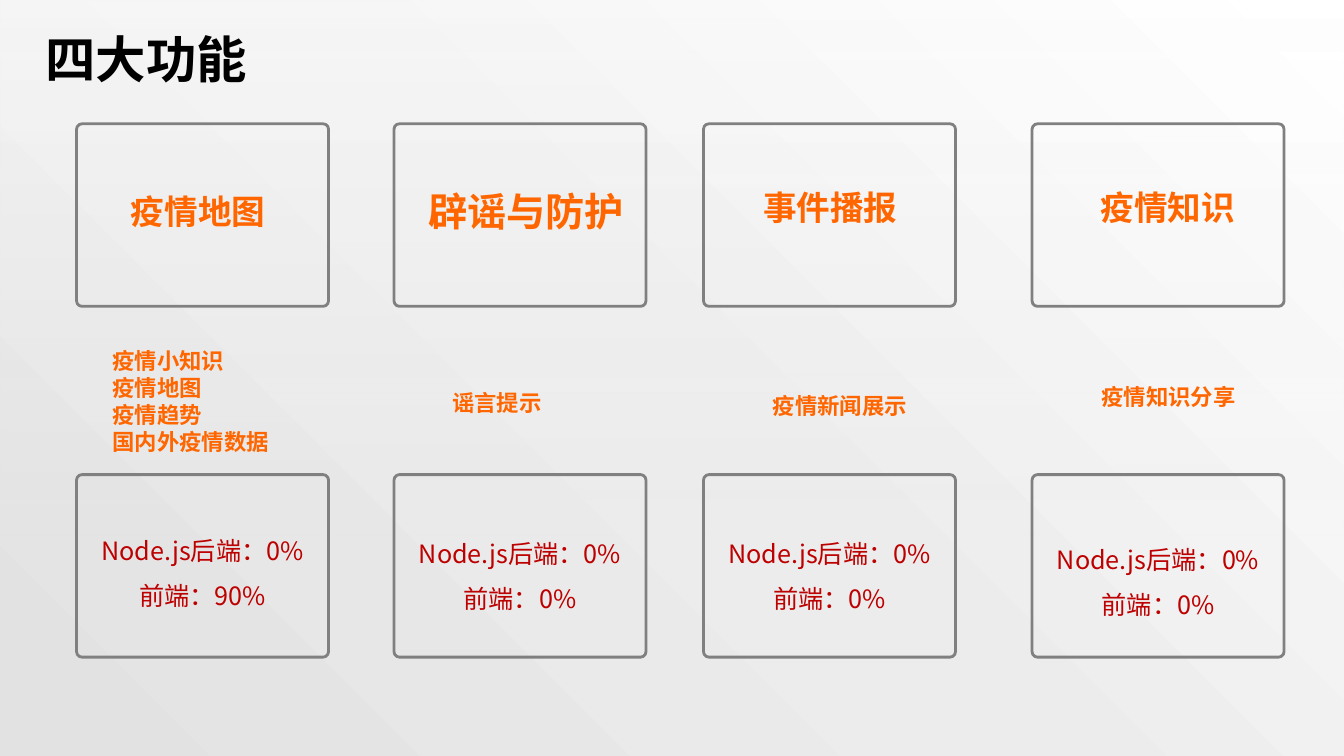
from copy import deepcopy

from pptx import Presentation
from pptx import util as u
from pptx.dml.color import RGBColor
from pptx.enum import shapes, text
from pptx.oxml import ns, xmlchemy

COLORS = {
    "black": "000000", "orange": "FF6600", "red": "BD0000", "outline": "808080",
    "white": "FFFFFF", "mist": "F2F2F2", "silver": "ECECEC", "smoke": "E2E2E2",
}
CJK = "Noto Sans CJK SC"
CARD_WIDTH, CARD_HEIGHT = 6.35, 4.6
FEATURE_TOP, STATUS_TOP = 3.12, 11.96

COLUMNS = [
    {"left": 1.93, "name": "疫情地图", "size": 24, "name_at": (1.37, 1.7, 3.43, 1.02),
     "details": ["疫情小知识", "疫情地图", "疫情趋势", "国内外疫情数据"],
     "details_at": (0.91, 8.76, 4.55, 2.74), "frontend": "90%", "status_offset": 1.14},
    {"left": 9.93, "name": "辟谣与防护", "size": 28, "name_at": (0.86, 1.6, 4.98, 1.19),
     "details": ["谣言提示"],
     "details_at": (1.47, 9.8, 2.29, 0.69), "frontend": "0%", "status_offset": 1.22},
    {"left": 17.73, "name": "事件播报", "size": 24, "name_at": (1.5, 1.6, 3.43, 1.02),
     "details": ["疫情新闻展示"],
     "details_at": (1.75, 9.88, 3.43, 0.69), "frontend": "0%", "status_offset": 1.22},
    {"left": 26.01, "name": "疫情知识", "size": 24, "name_at": (1.73, 1.6, 3.43, 1.02),
     "details": ["疫情知识分享"],
     "details_at": (1.75, 9.65, 3.43, 0.69), "frontend": "0%", "status_offset": 1.37},
]


def color(name):
    return RGBColor.from_string(COLORS[name])


def lengths(*values):
    return [u.Cm(value) for value in values]


def set_gradient(fill, element, stops, angle):
    fill.gradient()
    fill.gradient_angle = angle
    stop_list = element.find(".//" + ns.qn("a:gsLst"))
    while len(stop_list) < len(stops):
        stop_list.append(deepcopy(stop_list[0]))
    for item, stop, (position, name, opacity) in zip(stop_list, fill.gradient_stops, stops):
        stop.position = position
        stop.color.rgb = color(name)
        if opacity < 100:
            alpha = xmlchemy.OxmlElement("a:alpha")
            alpha.set("val", str(opacity * 1000))
            item[0].append(alpha)


def add_text(slide, lines, left, top, width, height, size, ink, bold=False, font=CJK,
             align=None, spacing=None, inset=0, wrap=False, grow=True):
    box = slide.shapes.add_textbox(*lengths(left, top, width, height))
    frame = box.text_frame
    frame.word_wrap = wrap
    frame.auto_size = (text.MSO_AUTO_SIZE.SHAPE_TO_FIT_TEXT if grow
                       else text.MSO_AUTO_SIZE.NONE)
    frame.margin_left = frame.margin_right = u.Cm(inset)
    frame.margin_top = frame.margin_bottom = u.Cm(inset / 2)
    for index, line in enumerate(lines):
        para = frame.add_paragraph() if index else frame.paragraphs[0]
        para.alignment = align
        para.line_spacing = spacing
        span = para.add_run()
        span.text = line
        span.font.size = u.Pt(size)
        span.font.bold = bold
        span.font.name = font
        span.font.color.rgb = color(ink)
        east_asian = xmlchemy.OxmlElement("a:ea")
        east_asian.set("typeface", CJK)
        span.font.fill
        span._r.rPr.append(east_asian)


def add_backdrop(slide, width, height):
    set_gradient(slide.background.fill, slide.element,
                 [(0, "smoke", 100), (0.5, "silver", 100), (1, "white", 100)], 45)
    veil = slide.shapes.add_shape(shapes.MSO_SHAPE.RECTANGLE, 0, 0, width, height)
    veil.shadow.inherit = False
    veil.line.fill.background()
    set_gradient(veil.fill, veil.element, [(0, "white", 55), (0.71, "mist", 0)], 270)


def add_card(slide, left, top):
    card = slide.shapes.add_shape(shapes.MSO_SHAPE.ROUNDED_RECTANGLE,
                                  *lengths(left, top, CARD_WIDTH, CARD_HEIGHT))
    card.adjustments[0] = 0.03
    card.shadow.inherit = False
    card.fill.background()
    card.line.color.rgb = color("outline")
    card.line.width = u.Pt(2)


def add_feature(slide, column):
    left = column["left"]
    add_card(slide, left, FEATURE_TOP)
    shift, drop, width, height = column["name_at"]
    add_text(slide, [column["name"]], left + shift, FEATURE_TOP + drop, width, height,
             size=column["size"], ink="orange", bold=True)


def add_details(slide, column):
    shift, top, width, height = column["details_at"]
    add_text(slide, column["details"], column["left"] + shift, top, width, height,
             size=16, ink="orange", bold=True)


def add_status(slide, column):
    left = column["left"]
    add_card(slide, left, STATUS_TOP)
    add_text(slide, ["Node.js后端：0%", "前端：" + column["frontend"]],
             left - 0.36, STATUS_TOP + column["status_offset"], CARD_WIDTH + 0.72, 2.18,
             size=18, ink="red", align=text.PP_ALIGN.CENTER, spacing=1.5, wrap=True)


def main():
    deck = Presentation()
    deck.slide_width, deck.slide_height = lengths(33.87, 19.05)
    slide = deck.slides.add_slide(deck.slide_layouts[6])
    add_backdrop(slide, deck.slide_width, deck.slide_height)
    for column in COLUMNS:
        add_feature(slide, column)
        add_details(slide, column)
        add_status(slide, column)
    add_text(slide, ["四大功能"], -4.11, 0.58, 15.6, 3.43, size=36, ink="black", bold=True,
             font="Calibri", align=text.PP_ALIGN.CENTER, inset=0.25, wrap=True, grow=False)
    deck.save("out.pptx")


if __name__ == "__main__":
    main()
